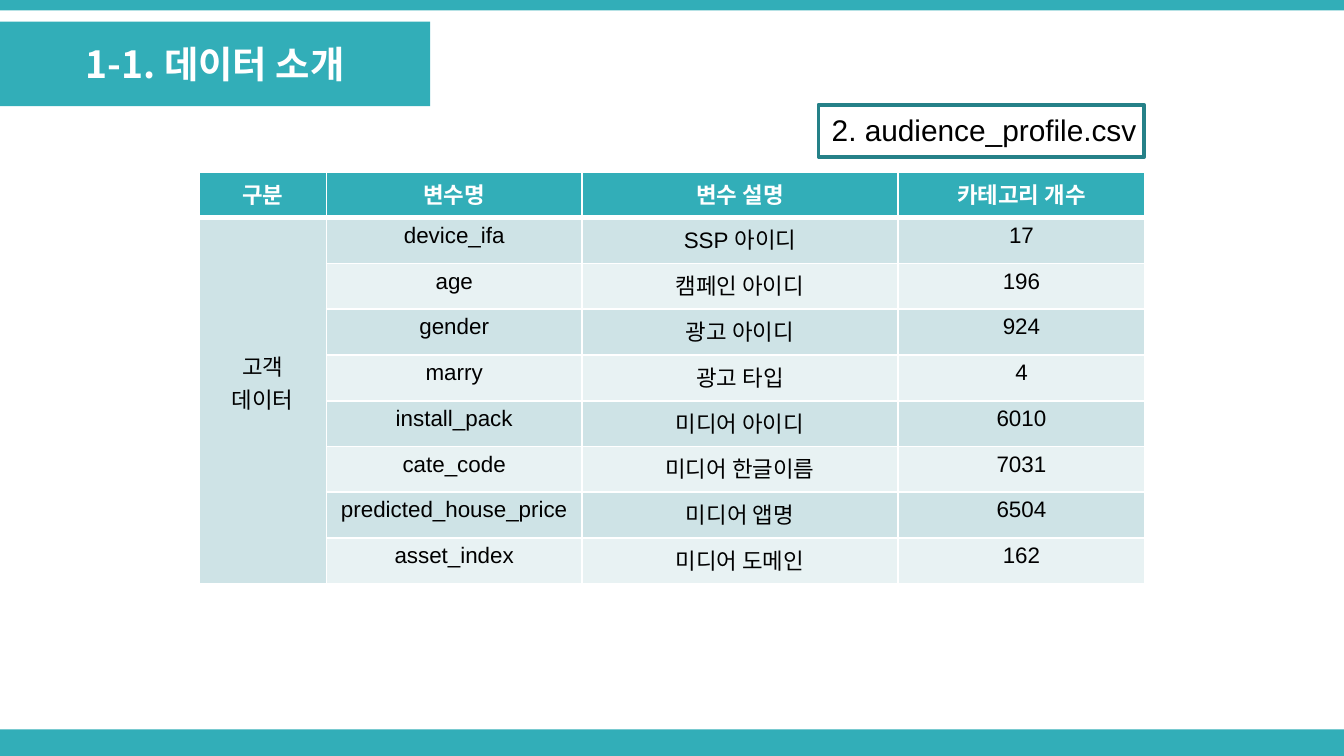
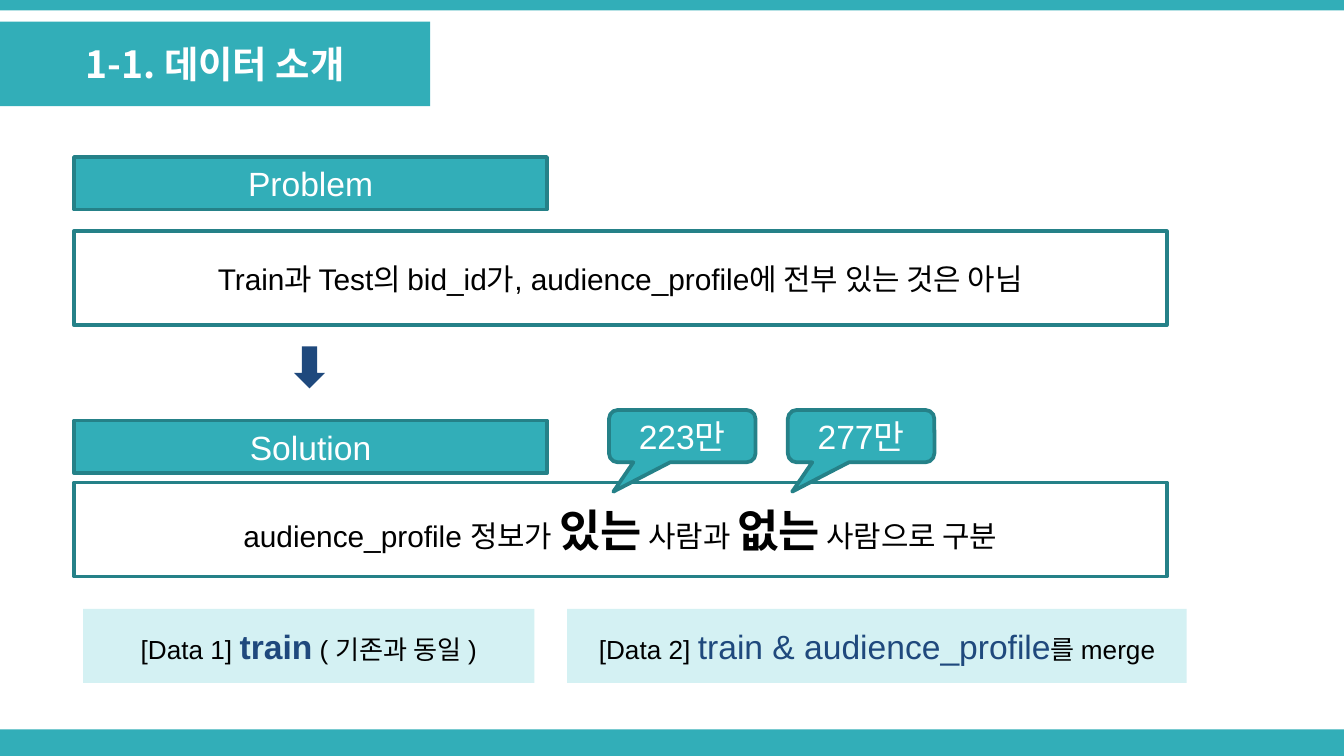
from collections import namedtuple
from dataclasses import dataclass

from lxml.etree import SubElement
from pptx import Presentation
from pptx.dml.color import RGBColor
from pptx.enum.shapes import MSO_SHAPE
from pptx.enum.text import MSO_ANCHOR, PP_ALIGN
from pptx.oxml.ns import qn
from pptx.util import Cm, Pt


@dataclass(frozen=True)
class Theme:
    teal: str = "32AEB8"
    edge: str = "258188"
    navy: str = "1F497D"
    pale: str = "D4F1F3"
    odd: str = "CEE3E6"
    even: str = "E8F2F3"
    white: str = "FFFFFF"
    black: str = "000000"
    font: str = "Arial"
    hangul: str = "Noto Sans CJK KR"
    cell: int = 12
    note: int = 14
    body: int = 16
    head: int = 18
    title: int = 20
    loud: int = 24


T = Theme()
Box = namedtuple("Box", "left top width height")
Span = namedtuple("Span", "text size color bold font", defaults=(T.black, False, T.font))
PAGE = Box(0, 0, 25.4, 14.29)

HEADS = ["구분", "변수명", "변수 설명", "카테고리 개수"]
GROUP = ["고객", "데이터"]
ROWS = [
    ("device_ifa", "SSP 아이디", "17"),
    ("age", "캠페인 아이디", "196"),
    ("gender", "광고 아이디", "924"),
    ("marry", "광고 타입", "4"),
    ("install_pack", "미디어 아이디", "6010"),
    ("cate_code", "미디어 한글이름", "7031"),
    ("predicted_house_price", "미디어 앱명", "6504"),
    ("asset_index", "미디어 도메인", "162"),
]


def rgb(code):
    return RGBColor.from_string(code)


def place(box):
    return [Cm(side) for side in box]


def write(para, spans, align=PP_ALIGN.CENTER):
    para.alignment = align
    for span in spans:
        run = para.add_run()
        run.text = span.text
        font = run.font
        font.name, font.size, font.bold = span.font, Pt(span.size), span.bold
        font.color.rgb = rgb(span.color)
        SubElement(run._r.get_or_add_rPr(), qn("a:ea"), typeface=T.hangul)


def block(slide, box, spans=(), fill=None, line=None, kind=MSO_SHAPE.RECTANGLE):
    shape = slide.shapes.add_shape(kind, *place(box))
    shape.shadow.inherit = False
    if fill:
        shape.fill.solid()
        shape.fill.fore_color.rgb = rgb(fill)
    else:
        shape.fill.background()
    if line:
        shape.line.color.rgb = rgb(line)
        shape.line.width = Pt(2)
    else:
        shape.line.fill.background()
    if spans:
        frame = shape.text_frame
        frame.word_wrap = True
        frame.vertical_anchor = MSO_ANCHOR.MIDDLE
        write(frame.paragraphs[0], spans)
    return shape


def frame_page(slide, box, title):
    """Draw the bands and title tab that every slide shares."""
    foot = 0.5
    block(slide, Box(box.left, box.top + box.height - foot, box.width, foot), fill=T.teal)
    block(slide, Box(box.left, box.top, box.width, 0.2), fill=T.teal)
    block(slide, Box(box.left, box.top + 0.41, 8.13, 1.6),
          [Span(title, T.title, T.white, True, T.hangul)], T.teal)


def file_tag(slide, box, name):
    text = slide.shapes.add_textbox(*place(box._replace(width=box.width + 0.2)))
    text.text_frame.word_wrap = True
    write(text.text_frame.paragraphs[0], [Span(name, T.body)], PP_ALIGN.LEFT)
    block(slide, box, line=T.edge)


def rule(cell, top, base):
    """Give a cell white borders; top and base are widths in points."""
    props = cell._tc.get_or_add_tcPr()
    for side, width in zip("LRTB", (1, 1, top, base)):
        line = SubElement(props, qn(f"a:ln{side}"), w=str(Pt(width)))
        fill = SubElement(line, qn("a:solidFill"))
        SubElement(fill, qn("a:srgbClr"), val=T.white)


def var_table(slide, box):
    count = len(ROWS) + 1
    table = slide.shapes.add_table(count, len(HEADS), *place(box)).table
    for col, share in zip(table.columns, (0.135, 0.27, 0.334, 0.261)):
        col.width = Cm(round(box.width * share, 2))
    for row in table.rows:
        row.height = Cm(box.height / count)

    lines = [HEADS] + [("", *row) for row in ROWS]
    for i, line in enumerate(lines):
        fill = T.teal if i == 0 else T.odd if i % 2 else T.even
        for j, text in enumerate(line):
            cell = table.cell(i, j)
            cell.margin_left = cell.margin_right = Cm(0.2)
            cell.margin_top = cell.margin_bottom = Cm(0.1)
            rule(cell, 3 if i == 1 else 1, 3 if i == 0 else 1)
            cell.fill.solid()
            cell.fill.fore_color.rgb = rgb(fill if j else T.teal if i == 0 else T.odd)
            if text:
                color = T.black if i else T.white
                write(cell.text_frame.paragraphs[0], [Span(text, T.cell, color, i == 0)])

    group = table.cell(1, 0)
    group.merge(table.cell(count - 1, 0))
    group.vertical_anchor = MSO_ANCHOR.MIDDLE
    group.margin_bottom = Cm(0.8)
    frame = group.text_frame
    for i, word in enumerate(GROUP):
        para = frame.add_paragraph() if i else frame.paragraphs[0]
        write(para, [Span(word, T.cell)])


def step(slide, box, name, spans):
    """Put a heading bar at the top of the box and its statement at the base."""
    deep = 1.78
    block(slide, Box(box.left, box.top, 8.94, 0.99),
          [Span(name, T.head, T.white)], T.teal, T.edge)
    block(slide, Box(box.left, box.top + box.height - deep, box.width, deep),
          spans, line=T.edge)


def callout(slide, box, text):
    shape = block(slide, box, [Span(text, T.head, T.white)], T.teal, T.edge,
                  MSO_SHAPE.ROUNDED_RECTANGULAR_CALLOUT)
    for i, value in enumerate((-0.47, 1.06, 0.17)):
        shape.adjustments[i] = value


def data_slide(slide, box):
    frame_page(slide, box, "1-1. 데이터 소개")
    var_table(slide, Box(box.left + 3.76, box.top + 3.25, 17.88, 7.79))
    file_tag(slide, Box(box.left + 15.47, box.top + 1.98, 6.15, 0.99),
             "2. audience_profile.csv")


def plan_slide(slide, box):
    frame_page(slide, box, "1-1. 데이터 소개")
    left, top = box.left, box.top
    step(slide, Box(left + 1.4, top + 2.97, 20.65, 3.18), "Problem", [
        Span("Train과 Test의 bid_id가, audience_profile에 전부 있는 것은 아님", T.body)])
    step(slide, Box(left + 1.4, top + 7.95, 20.65, 2.95), "Solution", [
        Span("audience_profile 정보가 ", T.body),
        Span("있는", T.loud, bold=True),
        Span(" 사람과 ", T.body),
        Span("없는", T.loud, bold=True),
        Span(" 사람으로 구분", T.body)])
    block(slide, Box(left + 5.56, top + 6.55, 0.58, 0.79), fill=T.navy,
          kind=MSO_SHAPE.DOWN_ARROW)
    block(slide, Box(left + 1.57, top + 11.51, 8.53, 1.4), [
        Span("[Data 1] ", T.note),
        Span("train", T.head, T.navy, True),
        Span(" ( 기존과 동일 )", T.note)], T.pale)
    block(slide, Box(left + 10.72, top + 11.51, 11.71, 1.4), [
        Span("[Data 2] ", T.note),
        Span("train & audience_profile", T.head, T.navy),
        Span("를 merge", T.note)], T.pale)
    for i, text in enumerate(("223만", "277만")):
        callout(slide, Box(left + 11.51 + i * 3.38, top + 7.75, 2.77, 0.99), text)


def main():
    deck = Presentation()
    deck.slide_width, deck.slide_height = Cm(PAGE.width), Cm(PAGE.height)
    for build in (data_slide, plan_slide):
        build(deck.slides.add_slide(deck.slide_layouts[6]), PAGE)
    deck.save("out.pptx")


if __name__ == "__main__":
    main()
